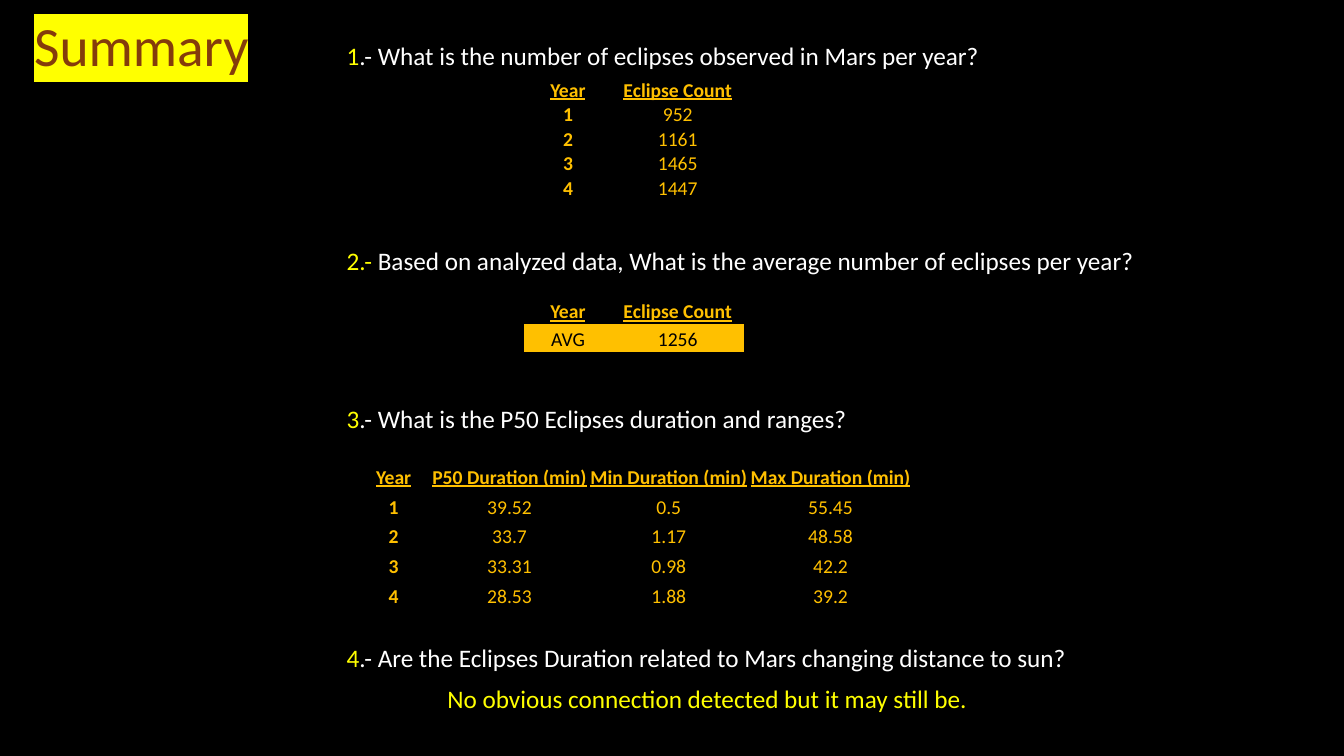
from pptx import Presentation
from pptx.dml.color import RGBColor as RGB
from pptx.enum.text import MSO_ANCHOR as Anchor, PP_ALIGN as Align
from pptx.oxml.ns import qn
from pptx.util import Pt
from lxml import etree

BLACK, WHITE = RGB(0, 0, 0), RGB(255, 255, 255)
YELLOW, GOLD = RGB(255, 255, 0), RGB(0xFF, 0xC0, 0)
BROWN = RGB(0x84, 0x3C, 0x0B)
FONT = "Calibri"
NO_GRID = "{2D5ABB26-0587-4C30-8999-92F81FD0307C}"

# Content: space before, left indent, runs
LINES = [
    (0, 0, [("1", YELLOW),
            (".- What is the number of eclipses observed in Mars per year?", WHITE)]),
    (127.4, 0, [("2.- ", YELLOW),
                ("Based on analyzed data, What is the average number of eclipses per year?", WHITE)]),
    (93, 0, [("3", YELLOW),
             (".- What is the P50 Eclipses duration and ranges?", WHITE)]),
    (151.6, 0, [("4", YELLOW),
                (".- Are the Eclipses Duration related to Mars changing distance to sun?", WHITE)]),
    (10, 72, [("No obvious connection detected but it may still be.", YELLOW)]),
]

# Tables: left, top, column widths, row height, rows
COUNT = ("Year", "Eclipse Count")
TABLES = [
    (374.4, 55.4, (62.6, 94.3), 17.4,
     [COUNT, ("1", "952"), ("2", "1161"), ("3", "1465"), ("4", "1447")]),
    (374.4, 211, (62.6, 94.3), 20.2, [COUNT, ("AVG", "1256")]),
    (254.9, 328.3, (52.6, 113, 114.5, 116.6), 21.3,
     [("Year", "P50 Duration (min)", "Min Duration (min)", "Max Duration (min)"),
      ("1", "39.52", "0.5", "55.45"),
      ("2", "33.7", "1.17", "48.58"),
      ("3", "33.31", "0.98", "42.2"),
      ("4", "28.53", "1.88", "39.2")]),
]

deck = Presentation()
deck.slide_width, deck.slide_height = Pt(960), Pt(540)
slide = deck.slides.add_slide(deck.slide_layouts[6])
slide.background.fill.solid()
slide.background.fill.fore_color.rgb = BLACK


def add_run(para, text, size, color, mark=None):
    run = para.add_run()
    run.text = text
    run.font.size = Pt(size)
    run.font.color.rgb = color
    if mark is not None:
        light = etree.SubElement(run.font.fill._xPr, qn("a:highlight"))
        etree.SubElement(light, qn("a:srgbClr"), val=str(mark))
    run.font.name = FONT
    return run


def add_box(*place):
    frame = slide.shapes.add_textbox(*map(Pt, place)).text_frame
    frame.word_wrap = True
    return frame


def add_table(left, top, widths, height, rows):
    shape = slide.shapes.add_table(len(rows), len(widths), Pt(left), Pt(top),
                                   Pt(sum(widths)), Pt(height * len(rows)))
    table = shape.table
    table.first_row = table.horz_banding = False
    next(shape.element.iter(qn("a:tableStyleId"))).text = NO_GRID
    for col, width in zip(table.columns, widths):
        col.width = Pt(width)
    for i, row in enumerate(rows):
        table.rows[i].height = Pt(height)
        average = row[0] == "AVG"
        for j, text in enumerate(row):
            cell = table.cell(i, j)
            cell.margin_left = cell.margin_right = cell.margin_top = Pt(0.7)
            cell.margin_bottom = 0
            cell.vertical_anchor = Anchor.BOTTOM
            if average:
                cell.fill.solid()
                cell.fill.fore_color.rgb = GOLD
            else:
                cell.fill.background()
            para = cell.text_frame.paragraphs[0]
            para.alignment = Align.CENTER
            run = add_run(para, text, 14, BLACK if average else GOLD)
            run.font.bold = i == 0 or (j == 0 and not average)
            run.font.underline = i == 0


# Title
head = add_box(17.3, 16.6, 867.6, 36.7)
head.vertical_anchor = Anchor.MIDDLE
head.paragraphs[0].line_spacing = 0.9
add_run(head.paragraphs[0], "Summary", 39.6, BROWN, YELLOW)

# Questions and closing answer
body = add_box(240.5, 27.4, 618.5, 483.8)
for n, (gap, indent, runs) in enumerate(LINES):
    para = body.add_paragraph() if n else body.paragraphs[0]
    para.line_spacing = 0.9
    para.space_before = Pt(gap)
    if indent:
        props = para._p.get_or_add_pPr()
        props.set("marL", str(Pt(indent)))
        props.set("indent", "0")
    for text, color in runs:
        add_run(para, text, 18, color)

# Data tables
for table in TABLES:
    add_table(*table)

deck.save("out.pptx")
